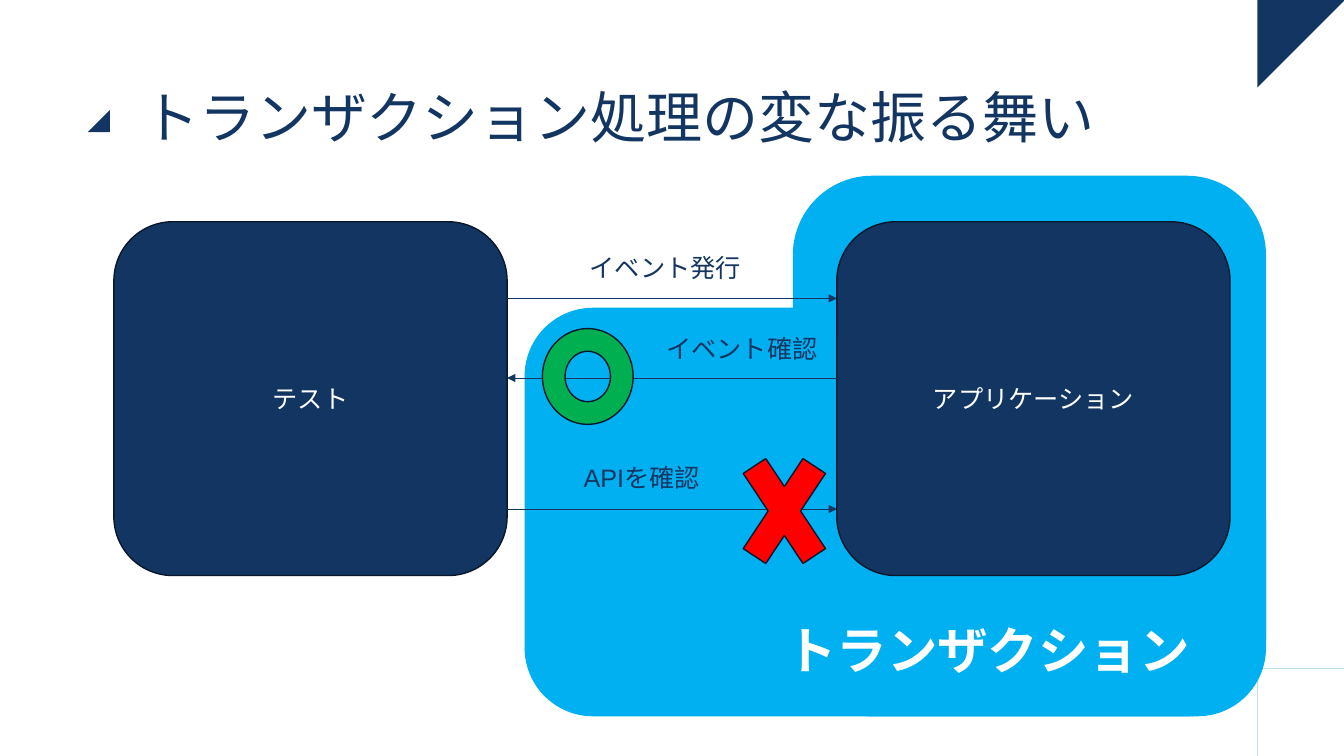
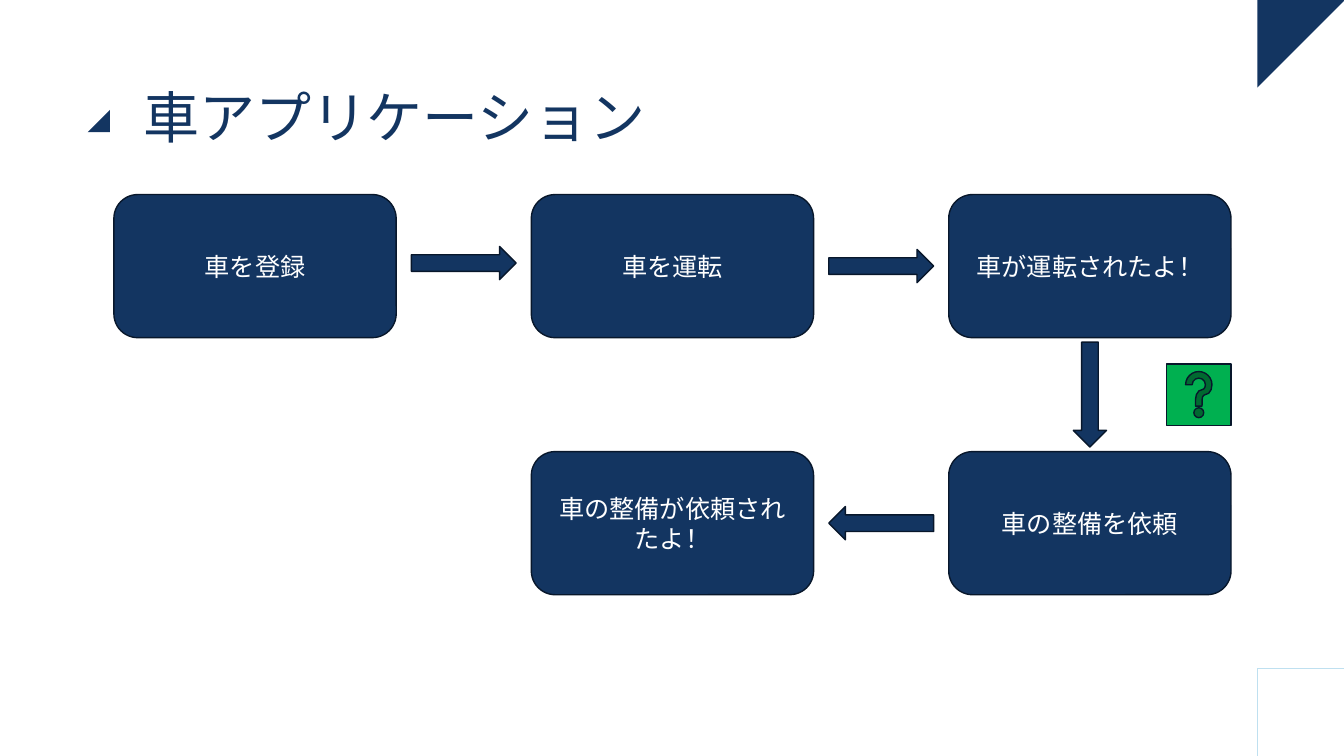
from math import atan2, degrees

from lxml.etree import SubElement
from pptx import Presentation
from pptx.dml.color import RGBColor
from pptx.enum.shapes import MSO_CONNECTOR, MSO_SHAPE
from pptx.enum.text import MSO_ANCHOR, PP_ALIGN
from pptx.oxml.ns import qn
from pptx.util import Inches, Pt

NAVY, EDGE, WHITE = "133561", "08172B", "FFFFFF"
SKY, GREEN, RED, PALE = "00B0F0", "00B050", "FF0000", "BFE0F0"
FONT = "Arial"
CARD_W, CARD_H = 2.8, 1.42
LEFT, TOP, STEP_X, STEP_Y = 1.13, 1.93, 4.14, 2.55


def rgb(color):
    """Turn a hex string into a colour."""
    return RGBColor.from_string(color)


def write(tf, text, size=18, color=NAVY, bold=False, align=PP_ALIGN.LEFT,
          anchor=MSO_ANCHOR.TOP, spacing=None, margin=None):
    """Fill a text frame with one formatted paragraph."""
    tf.word_wrap = True
    tf.vertical_anchor = anchor
    if margin is not None:
        tf.margin_left = tf.margin_right = Inches(margin)
        tf.margin_top = tf.margin_bottom = Inches(margin)
    p = tf.paragraphs[0]
    p.alignment = align
    p.line_spacing = spacing
    r = p.add_run()
    r.text = text
    r.font.name = FONT
    r.font.size = Pt(size)
    r.font.bold = bold
    r.font.color.rgb = rgb(color)


def add_text(s, x, y, w, h, text, **fmt):
    """Add a text box."""
    sp = s.shapes.add_textbox(Inches(x), Inches(y), Inches(w), Inches(h))
    write(sp.text_frame, text, **fmt)


def add_shape(s, kind, x, y, w, h, fill=NAVY, line=EDGE, rotation=0):
    """Add a filled preset shape, outlined unless line is None."""
    sp = s.shapes.add_shape(kind, Inches(x), Inches(y), Inches(w), Inches(h))
    sp.shadow.inherit = False
    sp.rotation = rotation
    sp.fill.solid()
    sp.fill.fore_color.rgb = rgb(fill)
    if line:
        sp.line.color.rgb = rgb(line)
        sp.line.width = Pt(1)
    else:
        sp.line.fill.background()
    return sp


def add_box(s, x, y, w, h, text):
    """Add a navy rounded box with a centred label."""
    sp = add_shape(s, MSO_SHAPE.ROUNDED_RECTANGLE, x, y, w, h)
    write(sp.text_frame, text, color=WHITE, align=PP_ALIGN.CENTER,
          anchor=MSO_ANCHOR.MIDDLE)


def add_line(s, x1, y1, x2, y2, color=NAVY, arrow=False):
    """Add a thin straight line, with an arrowhead at its end if asked."""
    sp = s.shapes.add_connector(MSO_CONNECTOR.STRAIGHT, Inches(x1), Inches(y1),
                                Inches(x2), Inches(y2))
    sp.line.color.rgb = rgb(color)
    sp.line.width = Pt(0.5)
    if arrow:
        SubElement(sp.line._get_or_add_ln(), qn("a:tailEnd"), type="triangle")
    SubElement(sp._element.spPr, qn("a:effectLst"))


def add_slide(prs, title):
    """Add a slide with the shared corners, title marker and title."""
    s = prs.slides.add_slide(prs.slide_layouts[6])
    marker = add_shape(s, MSO_SHAPE.RIGHT_TRIANGLE, 0.87, 1.09, 0.22, 0.22, line=None)
    marker._element.spPr.xfrm.set("flipH", "1")
    add_shape(s, MSO_SHAPE.RIGHT_TRIANGLE, 12.47, 0, 0.87, 0.87, line=None, rotation=90)
    add_line(s, 12.47, 6.63, 13.33, 6.63, PALE)
    add_line(s, 12.47, 6.63, 12.47, 7.5, PALE)
    add_text(s, 1.42, 0.79, 10.79, 1.42, title, size=40, spacing=1.05, margin=0)
    return s


def card_center(col, row):
    """Return the centre of a card in the flow grid."""
    return LEFT + col * STEP_X + CARD_W / 2, TOP + row * STEP_Y + CARD_H / 2


def add_flow_arrow(s, start, end, shift=0, w=1.04, h=0.33):
    """Add a block arrow midway between two cards."""
    (x1, y1), (x2, y2) = card_center(*start), card_center(*end)
    add_shape(s, MSO_SHAPE.RIGHT_ARROW, (x1 + x2 - w) / 2,
              (y1 + y2 - h) / 2 + shift, w, h,
              rotation=degrees(atan2(y2 - y1, x2 - x1)))


def build_transaction(prs):
    """Build the slide on transaction behaviour."""
    s = add_slide(prs, "トランザクション処理の変な振る舞い")
    for x, y, w, h in [(5.21, 3.06, 7.34, 4.04), (7.87, 1.75, 4.68, 5.35)]:
        add_shape(s, MSO_SHAPE.ROUNDED_RECTANGLE, x, y, w, h, SKY, SKY)
    for x, text in [(8.3, "アプリケーション"), (1.13, "テスト")]:
        add_box(s, x, 2.2, 3.9, 3.51, text)
    test_edge, app_edge = 5.03, 8.3
    messages = [
        (test_edge, app_edge, 2.96, 5.75, 2.45, 1.95, "イベント発行"),
        (test_edge, app_edge, 5.05, 5.69, 4.54, 1.46, "APIを確認"),
        (app_edge, test_edge, 3.75, 6.51, 3.26, 1.72, "イベント確認"),
    ]
    for start, end, y, text_x, text_y, text_w, text in messages:
        add_line(s, start, y, end, y, arrow=True)
        add_text(s, text_x, text_y, text_w, 0.4, text)
    add_shape(s, MSO_SHAPE.MATH_MULTIPLY, 7.21, 4.21, 1.14, 1.72, RED)
    add_shape(s, MSO_SHAPE.DONUT, 5.38, 3.26, 0.9, 0.95, GREEN)
    add_text(s, 7.7, 6.09, 4.56, 0.71, "トランザクション", size=36, color=WHITE, bold=True)


def build_car_flow(prs):
    """Build the slide on the car application flow."""
    s = add_slide(prs, "車アプリケーション")
    cards = [
        ((0, 0), "車を登録"),
        ((1, 0), "車を運転"),
        ((2, 0), "車が運転されたよ！"),
        ((2, 1), "車の整備を依頼"),
        ((1, 1), "車の整備が依頼されたよ！"),
    ]
    for cell, text in cards:
        x, y = card_center(*cell)
        add_box(s, x - CARD_W / 2, y - CARD_H / 2, CARD_W, CARD_H, text)
    add_shape(s, MSO_SHAPE.ACTION_BUTTON_HELP, 11.57, 3.61, 0.64, 0.61, GREEN)
    cells = [cell for cell, _ in cards]
    for start, end, shift in zip(cells, cells[1:], [-0.03, 0, 0, 0]):
        add_flow_arrow(s, start, end, shift)


def main():
    """Build and save the presentation."""
    prs = Presentation()
    prs.slide_width, prs.slide_height = Inches(13.33), Inches(7.5)
    build_transaction(prs)
    build_car_flow(prs)
    prs.save("out.pptx")


if __name__ == "__main__":
    main()
